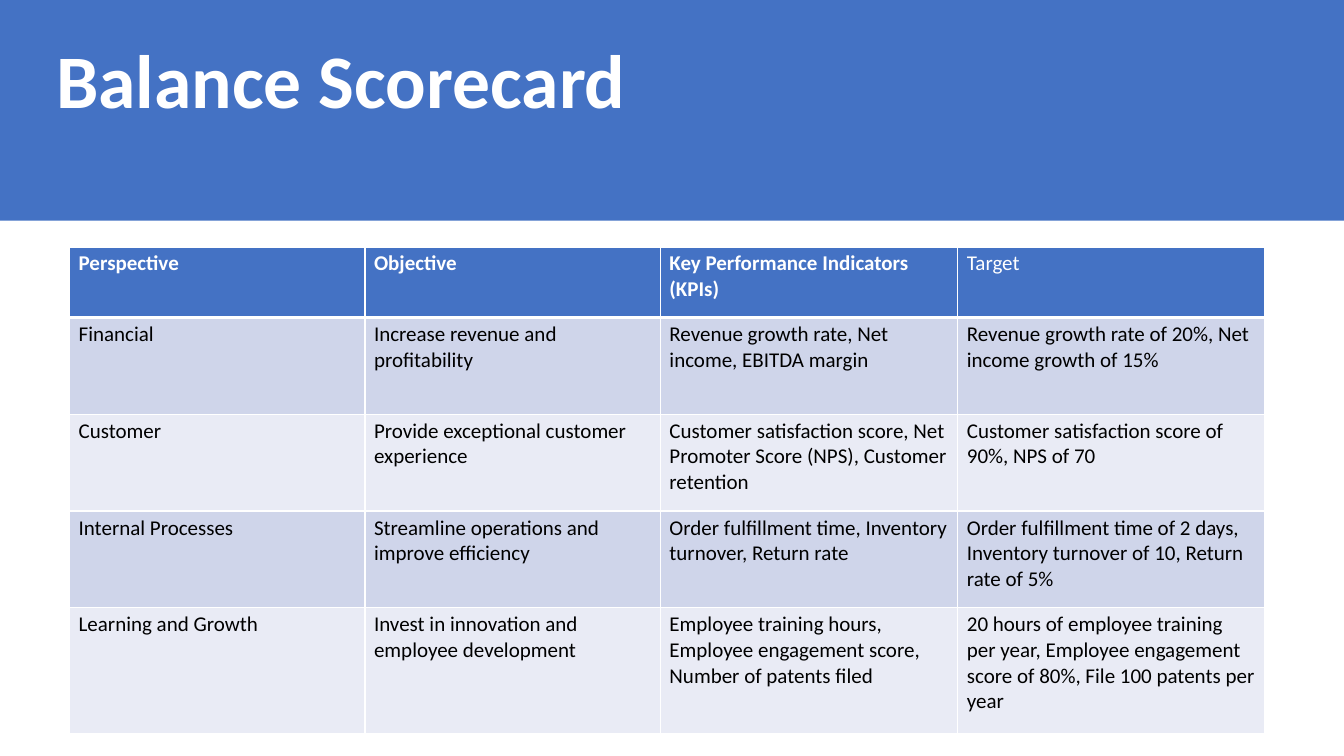
from pptx import Presentation
from pptx.dml.color import RGBColor
from pptx.enum.shapes import MSO_SHAPE
from pptx.enum.text import MSO_ANCHOR
from pptx.oxml.ns import qn
from pptx.util import Inches, Pt
from lxml import etree

# Content
TITLE = "Balance Scorecard"
SCORECARD = [
    ("Perspective", "Objective", "Key Performance Indicators (KPIs)", "Target"),
    ("Financial", "Increase revenue and profitability",
     "Revenue growth rate, Net income, EBITDA margin",
     "Revenue growth rate of 20%, Net income growth of 15%"),
    ("Customer", "Provide exceptional customer experience",
     "Customer satisfaction score, Net Promoter Score (NPS), Customer retention",
     "Customer satisfaction score of 90%, NPS of 70"),
    ("Internal Processes", "Streamline operations and improve efficiency",
     "Order fulfillment time, Inventory turnover, Return rate",
     "Order fulfillment time of 2 days, Inventory turnover of 10, Return rate of 5%"),
    ("Learning and Growth", "Invest in innovation and employee development",
     "Employee training hours, Employee engagement score, Number of patents filed",
     "20 hours of employee training per year, Employee engagement score of 80%, "
     "File 100 patents per year"),
]

# Layout, in inches
SLIDE_W, SLIDE_H = 13.33, 7.5
BANNER_H = 2.19
TABLE_LEFT, TABLE_TOP = 0.69, 2.45
COL_WIDTHS = [2.93, 2.93, 2.95, 3.04]
ROW_HEIGHTS = [0.7, 0.96, 0.96, 0.96, 1.25]

# Style
FONT = "Calibri"
BLUE = RGBColor(0x44, 0x72, 0xC4)
WHITE = RGBColor(0xFF, 0xFF, 0xFF)
BLACK = RGBColor(0x00, 0x00, 0x00)
BANDS = [RGBColor(0xE9, 0xEB, 0xF5), RGBColor(0xCF, 0xD5, 0xEA)]
THIN, THICK = Pt(1), Pt(3)
RECT = MSO_SHAPE.RECTANGLE
BOTTOM = MSO_ANCHOR.BOTTOM


def add_run(p, text, size, color, bold):
    r = p.add_run()
    r.text = text
    r.font.name = FONT
    r.font.size = Pt(size)
    r.font.color.rgb = color
    r.font.bold = bold


def add_borders(cell, top, bottom):
    tc_pr = cell._tc.get_or_add_tcPr()
    for side, width in (("L", THIN), ("R", THIN), ("T", top), ("B", bottom)):
        ln = etree.SubElement(tc_pr, qn("a:ln" + side), w=str(width))
        fill = etree.SubElement(ln, qn("a:solidFill"))
        etree.SubElement(fill, qn("a:srgbClr"), val=str(WHITE))


prs = Presentation()
prs.slide_width, prs.slide_height = Inches(SLIDE_W), Inches(SLIDE_H)
s = prs.slides.add_slide(prs.slide_layouts[6])

# Banner
banner = s.shapes.add_shape(RECT, 0, 0, prs.slide_width, Inches(BANNER_H))
banner.shadow.inherit = False
banner.fill.solid()
banner.fill.fore_color.rgb = BLUE
banner.line.fill.background()

# Title
sp = s.shapes.add_textbox(Inches(0.46), Inches(0.27), Inches(11.5), Inches(1.02))
tf = sp.text_frame
tf.word_wrap = True
tf.vertical_anchor = BOTTOM
p = tf.paragraphs[0]
p.line_spacing = 0.9
add_run(p, TITLE, 54, WHITE, True)

# Scorecard table
table = s.shapes.add_table(
    len(SCORECARD), len(COL_WIDTHS), Inches(TABLE_LEFT), Inches(TABLE_TOP),
    Inches(sum(COL_WIDTHS)), Inches(sum(ROW_HEIGHTS))).table
for column, width in zip(table.columns, COL_WIDTHS):
    column.width = Inches(width)
for row, height in zip(table.rows, ROW_HEIGHTS):
    row.height = Inches(height)

for i, texts in enumerate(SCORECARD):
    header = i == 0
    for j, text in enumerate(texts):
        cell = table.cell(i, j)
        cell.margin_left = cell.margin_right = Inches(0.09)
        cell.margin_top = cell.margin_bottom = Inches(0.04)
        add_borders(cell, THICK if i == 1 else THIN, THICK if header else THIN)
        cell.fill.solid()
        cell.fill.fore_color.rgb = BLUE if header else BANDS[i % 2]
        add_run(cell.text_frame.paragraphs[0], text, 15,
                WHITE if header else BLACK, header and text != "Target")

prs.save("out.pptx")
